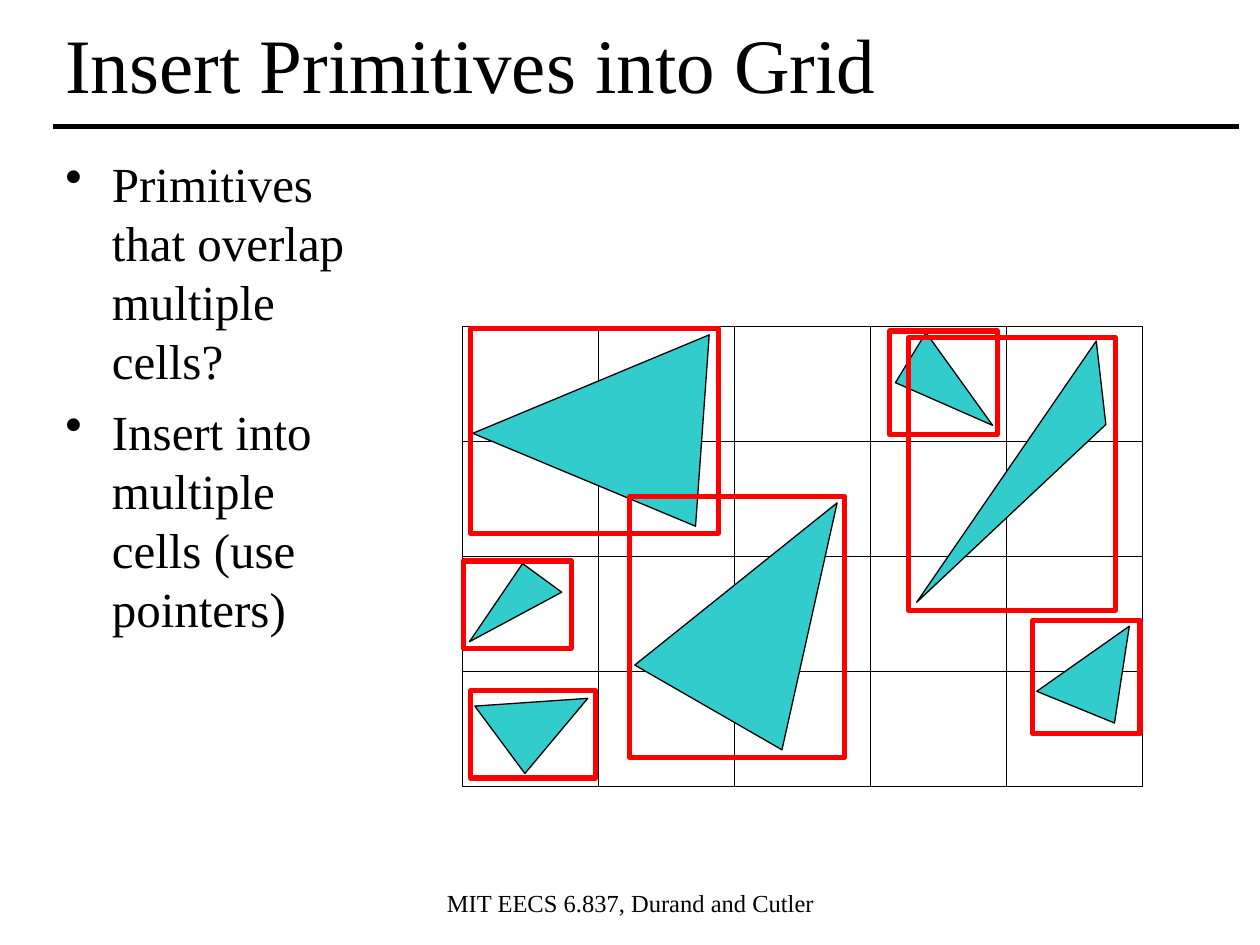
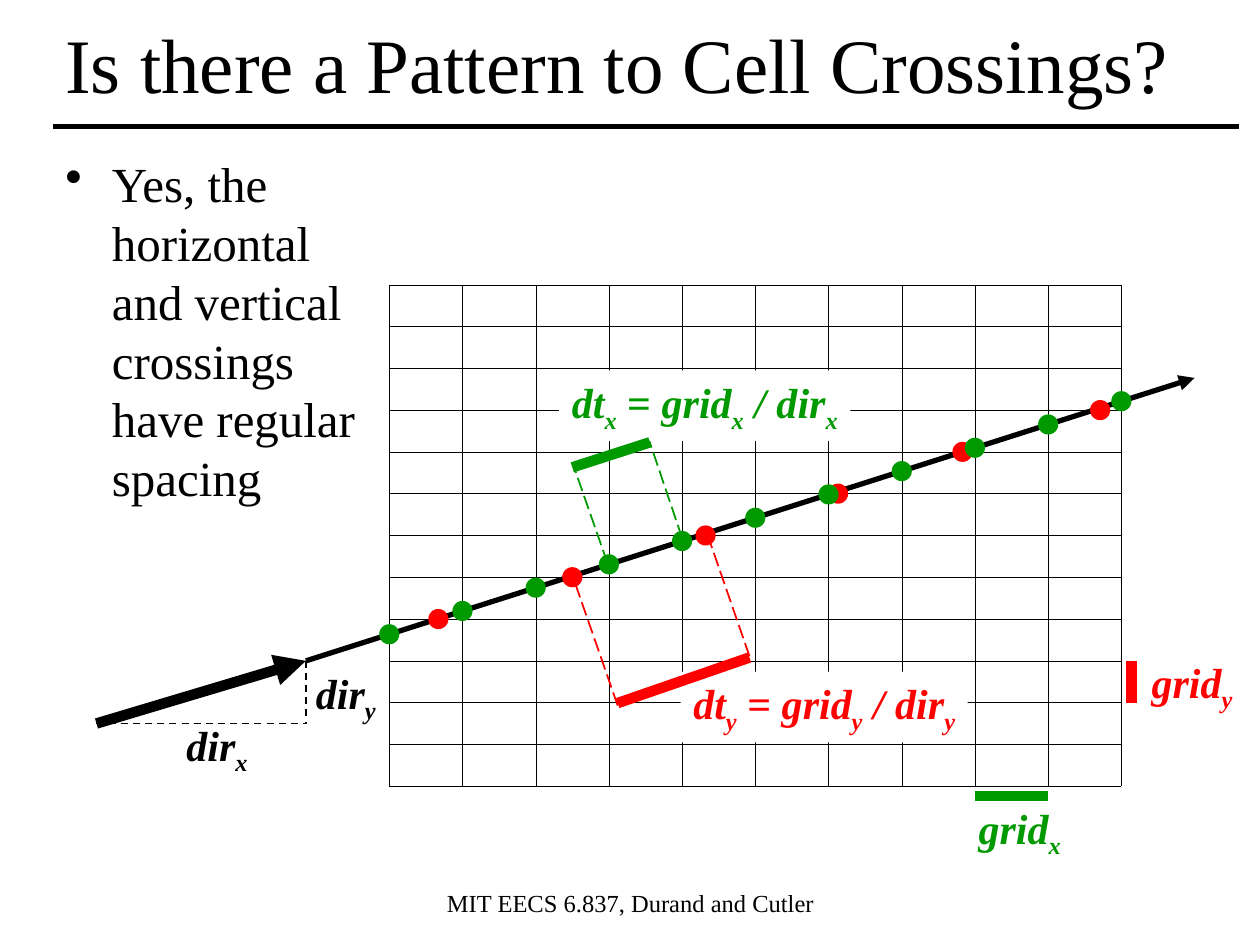
from dataclasses import dataclass
from lxml.etree import SubElement
from pptx import Presentation
from pptx.dml.color import RGBColor
from pptx.enum.dml import MSO_LINE
from pptx.enum.shapes import MSO_CONNECTOR, MSO_SHAPE
from pptx.enum.text import MSO_ANCHOR, PP_ALIGN
from pptx.oxml.ns import qn
from pptx.util import Inches, Pt

BLACK = RGBColor(0, 0, 0)
WHITE = RGBColor(255, 255, 255)
RED = RGBColor(255, 0, 0)
GREEN = RGBColor(0, 153, 0)
TEAL = RGBColor(51, 204, 204)
FONT = "Times New Roman"
WIDE, HIGH = 10, 7.5
DOT = 0.16


@dataclass
class Grid:
    left: float
    top: float
    width: float
    height: float
    cols: int
    rows: int

    def point(self, col, row):
        return (Inches(self.left + col * self.width / self.cols),
                Inches(self.top + row * self.height / self.rows))

    def box(self, col, row, wide, high):
        x, y = self.point(col, row)
        right, foot = self.point(col + wide, row + high)
        return x, y, right - x, foot - y


PAGE = Grid(0, 0, WIDE, HIGH, 100, 100)


def put_line(slide, grid, start, end, color=BLACK, width=1, dash=None, arrow=False):
    link = slide.shapes.add_connector(
        MSO_CONNECTOR.STRAIGHT, *grid.point(*start), *grid.point(*end))
    link.line.color.rgb = color
    link.line.width = Pt(width)
    if dash:
        link.line.dash_style = dash
    if arrow:
        SubElement(link.line._get_or_add_ln(), qn("a:tailEnd"), type="triangle")
    SubElement(link._element.spPr, qn("a:effectLst"))


def put_shape(slide, kind, place, fill=None, line=None, width=0.75):
    shape = slide.shapes.add_shape(kind, *place)
    shape.shadow.inherit = False
    if fill is None:
        shape.fill.background()
    else:
        shape.fill.solid()
        shape.fill.fore_color.rgb = fill
    if line is None:
        shape.line.fill.background()
    else:
        shape.line.color.rgb = line
        shape.line.width = Pt(width)
    return shape


def put_text(slide, place, wrap=True, anchor=MSO_ANCHOR.TOP):
    box = slide.shapes.add_textbox(*place)
    frame = box.text_frame
    frame.word_wrap = wrap
    frame.vertical_anchor = anchor
    return box, frame


def add_run(para, text, size, color=BLACK):
    run = para.add_run()
    run.text = text
    run.font.name = FONT
    run.font.size = Pt(size)
    run.font.color.rgb = color
    return run


def add_frame(slide, title):
    _, foot = put_text(slide, PAGE.box(34.2, 93.33, 31.7, 7.6))
    foot.paragraphs[0].alignment = PP_ALIGN.CENTER
    add_run(foot.paragraphs[0], "MIT EECS 6.837, Durand and Cutler", 14)
    put_line(slide, PAGE, (4.2, 13.38), (98.3, 13.38), width=3)
    _, head = put_text(slide, PAGE.box(4.2, 0, 94.1, 13.2), anchor=MSO_ANCHOR.MIDDLE)
    add_run(head.paragraphs[0], title, 44)


def add_list(slide, place, items):
    _, frame = put_text(slide, place)
    for i, item in enumerate(items):
        para = frame.add_paragraph() if i else frame.paragraphs[0]
        props = para._p.get_or_add_pPr()
        props.set("marL", str(Inches(0.37)))
        props.set("indent", str(-Inches(0.37)))
        SubElement(props, qn("a:buChar"), char="•")
        if i:
            para.space_before = Pt(7.4)
        add_run(para, item, 28)


def draw_grid(slide, grid, width):
    for row in range(grid.rows + 1):
        put_line(slide, grid, (0, row), (grid.cols, row), width=width)
    for col in range(grid.cols + 1):
        put_line(slide, grid, (col, 0), (col, grid.rows), width=width)


def draw_cells(slide, grid):
    draw_grid(slide, grid, 0.75)
    prims = [
        ((3.07, 0.36, 0.84, 0.47), 234.3, 0.8),
        ((3, 1.16, 2.33, 0.48), 124.5, 0.2),
        ((0.22, -0.16, 1.41, 1.99), 274.1, 0.4),
        ((1.04, 1.75, 1.86, 1.41), 282.6, 0.2),
        ((-0.07, 2.17, 0.77, 0.38), 331.8, 0.8),
        ((4.19, 2.62, 0.72, 0.71), 278.7, 0.2),
        ((0.1, 2.98, 0.72, 0.71), 309.9, 0.2),
    ]
    for place, turn, apex in prims:
        prim = put_shape(slide, MSO_SHAPE.ISOSCELES_TRIANGLE,
                         grid.box(*place), TEAL, BLACK)
        prim.adjustments[0] = apex
        prim.rotation = turn
    bounds = [
        (1.23, 1.48, 1.58, 2.27),
        (4.19, 2.56, 0.79, 0.98),
        (3.28, 0.1, 1.52, 2.37),
        (3.14, 0.04, 0.79, 0.9),
        (0.06, 0.02, 1.82, 1.78),
        (0.01, 2.04, 0.79, 0.76),
        (0.06, 3.17, 0.92, 0.76),
    ]
    for place in bounds:
        put_shape(slide, MSO_SHAPE.RECTANGLE, grid.box(*place), line=RED, width=3)


def add_label(slide, grid, place, words, color, fill=None):
    box, frame = put_text(slide, grid.box(*place, 1.69), wrap=False)
    frame.margin_left = frame.margin_right = Inches(0.02)
    if fill is not None:
        box.fill.solid()
        box.fill.fore_color.rgb = fill
    para = frame.paragraphs[0]
    para.alignment = PP_ALIGN.CENTER
    for i, word in enumerate(words.split("|")):
        if word:
            run = add_run(para, word, 24, color)
            run.font.bold = True
            run.font.italic = word != " = "
            if i % 2:
                run.font._element.set("baseline", "-25000")


def draw_dots(slide, grid, spots, color):
    size = Inches(DOT)
    for spot in spots:
        x, y = grid.point(*spot)
        put_shape(slide, MSO_SHAPE.OVAL,
                  (x - size // 2, y - size // 2, size, size), color)


def draw_ray(slide, grid):
    start, end = (-1.14, 9), (11, 2.23)
    slope = (end[1] - start[1]) / (end[0] - start[0])
    put_line(slide, grid, start, end, width=3, arrow=True)
    draw_grid(slide, grid, 0.25)
    hits = [0.67, 2.5, 4.32, 6.13, 7.83, 9.71]
    draw_dots(slide, grid, [(col, 8 - i) for i, col in enumerate(hits)], RED)
    draw_dots(slide, grid, [(col, start[1] + slope * (col - start[0]))
                            for col in range(grid.cols + 1)], GREEN)


def draw_steps(slide, grid):
    dashes = [
        ((3.12, 10.07), (2.51, 7), RED),
        ((4.92, 8.89), (4.35, 6), RED),
        ((4, 6.06), (3.53, 3.62), GREEN),
        ((2.98, 6.66), (2.5, 4.25), GREEN),
    ]
    for start, end, color in dashes:
        put_line(slide, grid, start, end, color, dash=MSO_LINE.LONG_DASH)
    add_label(slide, grid, (2.32, 2.05, 3.98), "dt|x| = ||grid|x| / dir|x",
              GREEN, WHITE)
    add_label(slide, grid, (3.98, 9.26, 3.92), "dt|y| = ||grid|y| / dir|y",
              RED, WHITE)
    bars = [
        ((3.12, 10.01), (4.92, 8.92), RED),
        ((2.5, 4.37), (3.56, 3.77), GREEN),
        ((8, 12.24), (9, 12.24), GREEN),
        ((10.14, 10), (10.14, 9), RED),
    ]
    for start, end, color in bars:
        put_line(slide, grid, start, end, color, 6)
    add_label(slide, grid, (7.88, 12.24, 1.46), "grid|x", GREEN)
    add_label(slide, grid, (10.24, 8.74, 1.45), "grid|y", RED)


def draw_dir(slide, grid):
    tail, tip, corner = (-4, 10.5), (-1.14, 9), (-1.14, 10.5)
    put_line(slide, grid, tail, tip, width=6, arrow=True)
    put_line(slide, grid, tail, corner, dash=MSO_LINE.DASH)
    put_line(slide, grid, tip, corner, dash=MSO_LINE.DASH)
    add_label(slide, grid, (-2.94, 10.25, 1.17), "dir|x", BLACK)
    add_label(slide, grid, (-1.17, 9, 1.15), "dir|y", BLACK)


def main():
    deck = Presentation()
    deck.slide_width, deck.slide_height = Inches(WIDE), Inches(HIGH)
    blank = deck.slide_layouts[6]

    slide = deck.slides.add_slide(blank)
    add_frame(slide, "Insert Primitives into Grid")
    draw_cells(slide, Grid(3.67, 2.59, 5.4, 3.65, 5, 4))
    add_list(slide, PAGE.box(4.2, 15.6, 26.2, 76.5),
             ["Primitives that overlap multiple cells?",
              "Insert into multiple cells (use pointers)"])

    slide = deck.slides.add_slide(blank)
    add_frame(slide, "Is there a Pattern to Cell Crossings?")
    add_list(slide, PAGE.box(4.2, 15.6, 27.6, 76.5),
             ["Yes, the horizontal and vertical crossings have regular spacing"])
    grid = Grid(3.09, 2.26, 5.81, 3.98, 10, 12)
    for draw in (draw_ray, draw_steps, draw_dir):
        draw(slide, grid)

    deck.save("out.pptx")


if __name__ == "__main__":
    main()
